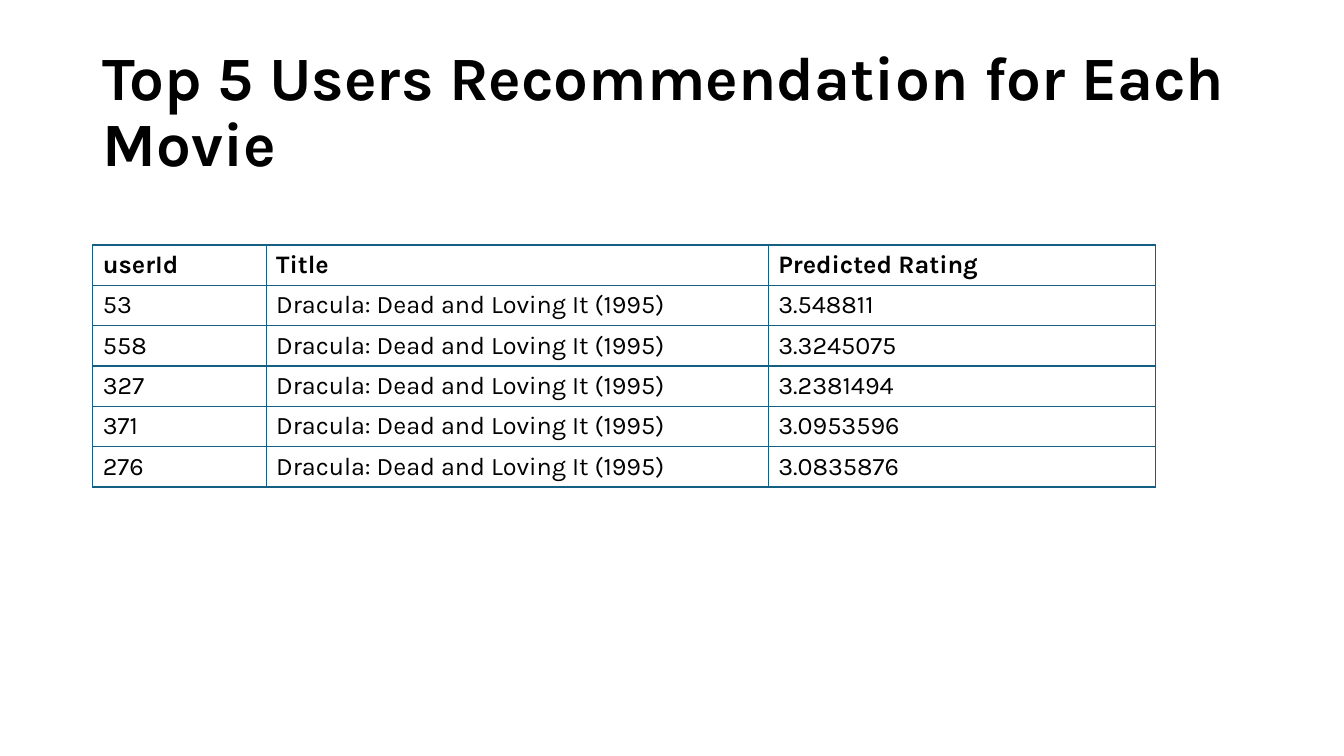
from lxml import etree
from pptx import Presentation
from pptx.dml.color import RGBColor
from pptx.enum.text import MSO_ANCHOR
from pptx.oxml.ns import qn
from pptx.util import Inches, Pt

BLACK = RGBColor(0x00, 0x00, 0x00)
BORDER = RGBColor(0x15, 0x60, 0x82)
MIDDLE = MSO_ANCHOR.MIDDLE
FONT = "Karla"
BLANK_LAYOUT = 6
ROW_HEIGHT = 0.39
COLUMN_WIDTHS = (1.72, 4.98, 3.84)
HEADINGS = ("userId", "Title", "Predicted Rating")
MOVIE = "Dracula: Dead and Loving It (1995)"
RATINGS = (
    ("53", "3.548811"),
    ("558", "3.3245075"),
    ("327", "3.2381494"),
    ("371", "3.0953596"),
    ("276", "3.0835876"),
)


def write_text(frame, text, size, bold):
    """Write one formatted span into a text frame and return its paragraph."""
    para = frame.paragraphs[0]
    span = para.add_run()
    span.text = text
    span.font.color.rgb = BLACK
    formats = {"name": FONT, "size": Pt(size), "bold": bold}
    for name, value in formats.items():
        setattr(span.font, name, value)
    return para


def add_borders(cell):
    """Draw a thin line on all four sides of a table cell."""
    properties = cell._tc.get_or_add_tcPr()
    for position, side in enumerate(("lnL", "lnR", "lnT", "lnB")):
        line = etree.Element(qn(f"a:{side}"), w=str(Pt(1)))
        fill = etree.SubElement(line, qn("a:solidFill"))
        etree.SubElement(fill, qn("a:srgbClr"), val=str(BORDER))
        properties.insert(position, line)


def add_title(page, left, top, width, height, text):
    """Place the slide title in the given box."""
    box = page.shapes.add_textbox(Inches(left), Inches(top), Inches(width), Inches(height))
    frame = box.text_frame
    frame.word_wrap = True
    frame.vertical_anchor = MIDDLE
    write_text(frame, text, 44, True).line_spacing = 0.9


def add_rating_table(page, left, top, rows):
    """Place the bordered table of predicted ratings with a bold heading row."""
    frame = page.shapes.add_table(
        len(rows), len(COLUMN_WIDTHS), Inches(left), Inches(top),
        Inches(sum(COLUMN_WIDTHS)), Inches(ROW_HEIGHT * len(rows)),
    )
    table = frame.table
    table.horz_banding = False
    for column, width in zip(table.columns, COLUMN_WIDTHS):
        column.width = Inches(width)
    for row_index, row in enumerate(rows):
        for column_index, text in enumerate(row):
            cell = table.cell(row_index, column_index)
            cell.fill.background()
            cell.vertical_anchor = MIDDLE
            write_text(cell.text_frame, text, 18, row_index == 0)
            add_borders(cell)


def main():
    """Build the slide and save the deck."""
    deck = Presentation()
    deck.slide_width, deck.slide_height = Inches(13.33), Inches(7.5)
    page = deck.slides.add_slide(deck.slide_layouts[BLANK_LAYOUT])
    add_title(page, 0.92, 0.4, 11.5, 1.45, "Top 5 Users Recommendation for Each Movie")
    rows = [HEADINGS] + [(user, MOVIE, rating) for user, rating in RATINGS]
    add_rating_table(page, 0.92, 2.43, rows)
    deck.save("out.pptx")


if __name__ == "__main__":
    main()
